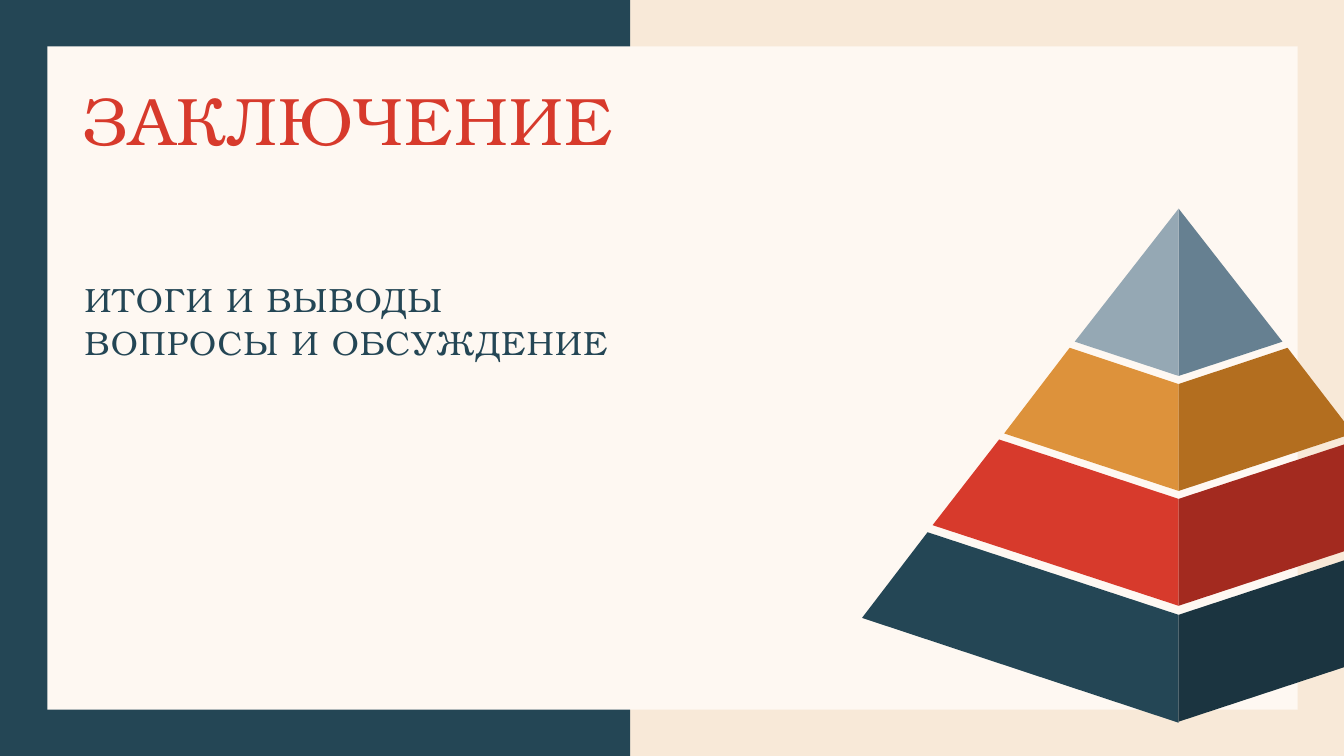
from pptx import Presentation, util as u
from pptx.dml.color import RGBColor
from pptx.enum import shapes, text
from pptx.oxml.ns import qn
from lxml import etree

COLORS = {
    "sand": "F8E9D8", "cream": "FEF8F2",
    "navy": "244655", "navy_dark": "1B3440",
    "red": "D73A2C", "red_dark": "A32A1F",
    "amber": "DD923B", "amber_dark": "B36E1F",
    "steel": "95A8B4", "steel_dark": "668091",
}
FONT = "TeX Gyre Bonum"
SLIDE_SIZE = (13.33, 7.5)
PANELS = [("navy", (0, 0, 6.25, 7.5)), ("cream", (0.47, 0.46, 12.4, 6.58))]
TEXTS = [
    {"lines": ["ЗАКЛЮЧЕНИЕ"], "at": (0.69, 0.71, 6.24, 1.83),
     "size": 48, "color": "red", "spacing": {}},
    {"lines": ["ИТОГИ И ВЫВОДЫ", "ВОПРОСЫ И ОБСУЖДЕНИЕ"], "at": (0.71, 2.76, 6.22, 1.42),
     "size": 24, "color": "navy", "spacing": {"line_spacing": 0.85, "space_after": u.Pt(6)}},
]
AXIS = 11.69
EDGE = SLIDE_SIZE[0]
TIERS = [
    ("navy", 6.1, 7.17, [(9.2, 5.28), (8.55, 6.13)]),
    ("red", 4.95, 6.01, [(9.91, 4.36), (9.25, 5.21)]),
    ("amber", 3.81, 4.87, [(10.61, 3.45), (9.96, 4.3)]),
    ("steel_dark", 2.07, 3.73, [(12.72, 3.39)]),
    ("steel", 2.07, 3.73, [(10.66, 3.39)]),
    ("navy_dark", 6.1, 7.16, [(EDGE, 5.56), (EDGE, 6.62)]),
    ("red_dark", 4.95, 6.01, [(EDGE, 4.41), (EDGE, 5.47)]),
    ("amber_dark", 3.81, 4.87, [(12.77, 3.45), (EDGE, 4.18), (EDGE, 4.33)]),
]


def rgb(name):
    return RGBColor.from_string(COLORS[name])


def paint(shape, color):
    shape.shadow.inherit = False
    shape.fill.solid()
    shape.fill.fore_color.rgb = rgb(color)
    shape.line.fill.background()


def set_all(target, values):
    for name, value in values.items():
        setattr(target, name, value)


def write(box, lines, at, size, color, spacing):
    set_all(box, dict(zip(("left", "top", "width", "height"), map(u.Inches, at))))
    frame = box.text_frame
    frame.text = "\n".join(lines)
    set_all(frame, {
        "word_wrap": True, "auto_size": text.MSO_AUTO_SIZE.NONE,
        "vertical_anchor": text.MSO_ANCHOR.TOP,
        "margin_left": u.Inches(0.13), "margin_right": u.Inches(0.13),
        "margin_top": u.Inches(0.07), "margin_bottom": u.Inches(0.07),
    })
    for para in frame.paragraphs:
        set_all(para, {"alignment": text.PP_ALIGN.LEFT, "space_before": u.Pt(0), **spacing})
        props = para._p.get_or_add_pPr()
        props.set("marL", "0")
        props.set("indent", "0")
        etree.SubElement(props, qn("a:buNone"))
        span = para.runs[0]
        set_all(span.font, {"name": FONT, "size": u.Pt(size), "bold": False})
        span.font.color.rgb = rgb(color)
        span._r.get_or_add_rPr().set("spc", "100")


def main():
    deck = Presentation()
    deck.slide_width, deck.slide_height = map(u.Inches, SLIDE_SIZE)
    page = deck.slides.add_slide(deck.slide_layouts[1])
    page.background.fill.solid()
    page.background.fill.fore_color.rgb = rgb("sand")

    title = page.shapes.title
    for color, at in PANELS:
        panel = page.shapes.add_shape(shapes.MSO_SHAPE.RECTANGLE, *map(u.Inches, at))
        paint(panel, color)
        title._element.addprevious(panel._element)

    for box, content in zip(page.placeholders, TEXTS):
        write(box, **content)

    for color, top, bottom, outer in TIERS:
        corners = [(u.Inches(x), u.Inches(y))
                   for x, y in [(AXIS, top), *outer, (AXIS, bottom)]]
        builder = page.shapes.build_freeform(*corners[0])
        builder.add_line_segments(corners[1:], close=True)
        paint(builder.convert_to_shape(), color)

    deck.save("out.pptx")


if __name__ == "__main__":
    main()
